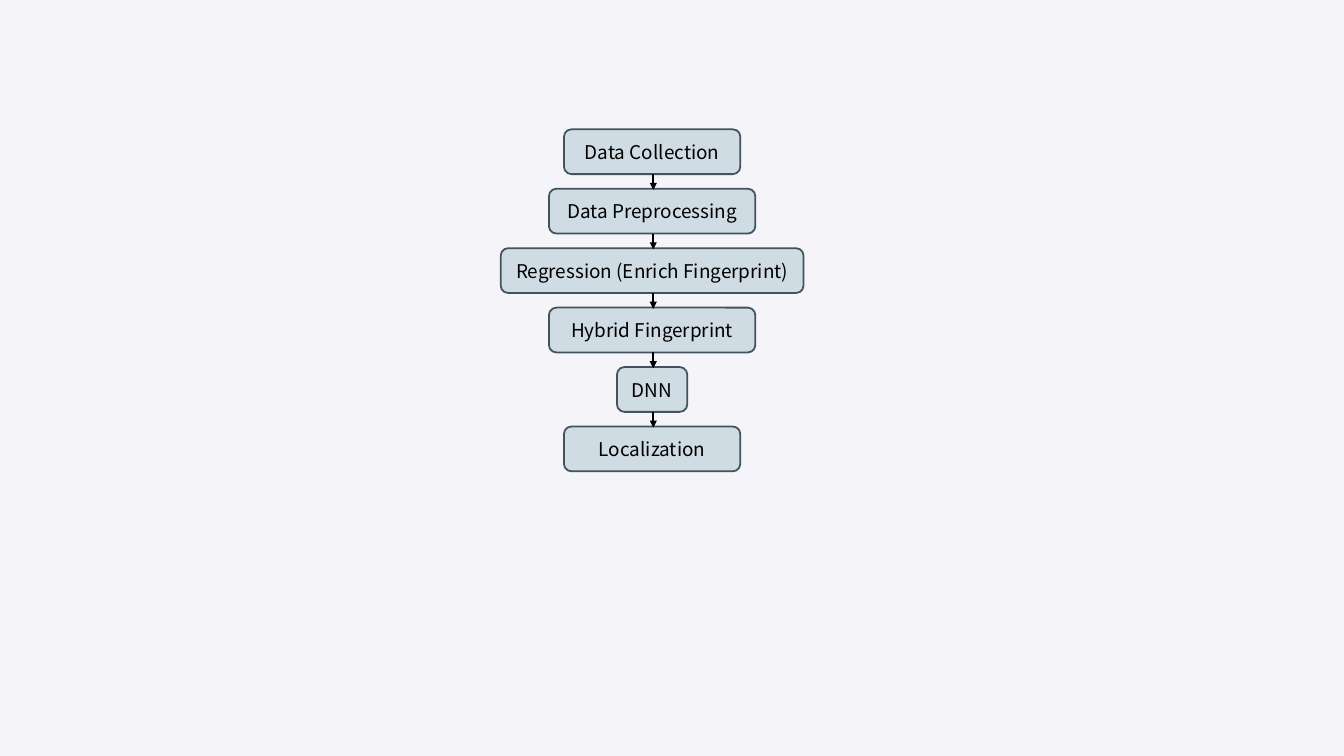
"""Build a slide with a vertical flowchart of a localization pipeline."""
from dataclasses import dataclass

from lxml import etree
from pptx import Presentation
from pptx.dml.color import RGBColor
from pptx.enum.shapes import MSO_CONNECTOR, MSO_SHAPE
from pptx.enum.text import MSO_ANCHOR, PP_ALIGN
from pptx.oxml.ns import qn
from pptx.slide import Slide
from pptx.util import Inches, Pt

ROUNDED_BOX = MSO_SHAPE.ROUNDED_RECTANGLE
STRAIGHT = MSO_CONNECTOR.STRAIGHT
MIDDLE = MSO_ANCHOR.MIDDLE
CENTER = PP_ALIGN.CENTER

SLIDE_WIDTH, SLIDE_HEIGHT = 23.7, 13.33
STEP_CENTER = 11.5
FIRST_TOP, LAST_TOP = 2.28, 7.52
STEP_HEIGHT = 0.79
ARROW_X = 11.52
ARROW_LENGTH = 0.28


@dataclass(frozen=True)
class Theme:
    """Colours, font and sizes of the slide."""

    background: RGBColor = RGBColor.from_string("F4F4F9")
    box_fill: RGBColor = RGBColor.from_string("CFDCE3")
    box_line: RGBColor = RGBColor.from_string("42535D")
    ink: RGBColor = RGBColor.from_string("000000")
    font: str = "Noto Sans CJK SC"
    text_size: float = 24
    box_line_width: float = 2.25
    arrow_width: float = 3


@dataclass(frozen=True)
class Step:
    """One stage of the pipeline and the width of its box."""

    label: str
    width: float


THEME = Theme()
STEPS = (
    Step("Data Collection", 3.11),
    Step("Data Preprocessing", 3.64),
    Step("Regression (Enrich Fingerprint)", 5.34),
    Step("Hybrid Fingerprint", 3.64),
    Step("DNN", 1.24),
    Step("Localization", 3.11),
)
STEP_PITCH = (LAST_TOP - FIRST_TOP) / (len(STEPS) - 1)


def draw_step(slide: Slide, step: Step, top: float) -> None:
    """Draw a rounded box centred on the flow axis."""
    shape = slide.shapes.add_shape(
        ROUNDED_BOX,
        Inches(STEP_CENTER - step.width / 2),
        Inches(top),
        Inches(step.width),
        Inches(STEP_HEIGHT),
    )
    shape.shadow.inherit = False
    shape.fill.solid()
    shape.fill.fore_color.rgb = THEME.box_fill
    shape.line.color.rgb = THEME.box_line
    shape.line.width = Pt(THEME.box_line_width)
    text_frame = shape.text_frame
    text_frame.word_wrap = True
    text_frame.vertical_anchor = MIDDLE
    paragraph = text_frame.paragraphs[0]
    paragraph.text = step.label
    paragraph.alignment = CENTER
    paragraph.font.name = THEME.font
    paragraph.font.size = Pt(THEME.text_size)
    paragraph.font.color.rgb = THEME.ink


def draw_arrow(slide: Slide, top: float) -> None:
    """Draw a downward arrow starting at the given height."""
    connector = slide.shapes.add_connector(
        STRAIGHT,
        Inches(ARROW_X),
        Inches(top),
        Inches(ARROW_X),
        Inches(top + ARROW_LENGTH),
    )
    connector.line.color.rgb = THEME.ink
    connector.line.width = Pt(THEME.arrow_width)
    etree.SubElement(connector.line._get_or_add_ln(), qn("a:tailEnd"), type="triangle")
    etree.SubElement(connector._element.spPr, qn("a:effectLst"))


def main() -> None:
    """Build and save the presentation."""
    presentation = Presentation()
    presentation.slide_width = Inches(SLIDE_WIDTH)
    presentation.slide_height = Inches(SLIDE_HEIGHT)
    slide = presentation.slides.add_slide(presentation.slide_layouts[6])
    slide.background.fill.solid()
    slide.background.fill.fore_color.rgb = THEME.background

    tops = [FIRST_TOP + index * STEP_PITCH for index in range(len(STEPS))]
    for step, top in zip(STEPS, tops):
        draw_step(slide, step, top)
    for top in tops[:-1]:
        draw_arrow(slide, top + STEP_HEIGHT)

    presentation.save("out.pptx")


if __name__ == "__main__":
    main()
